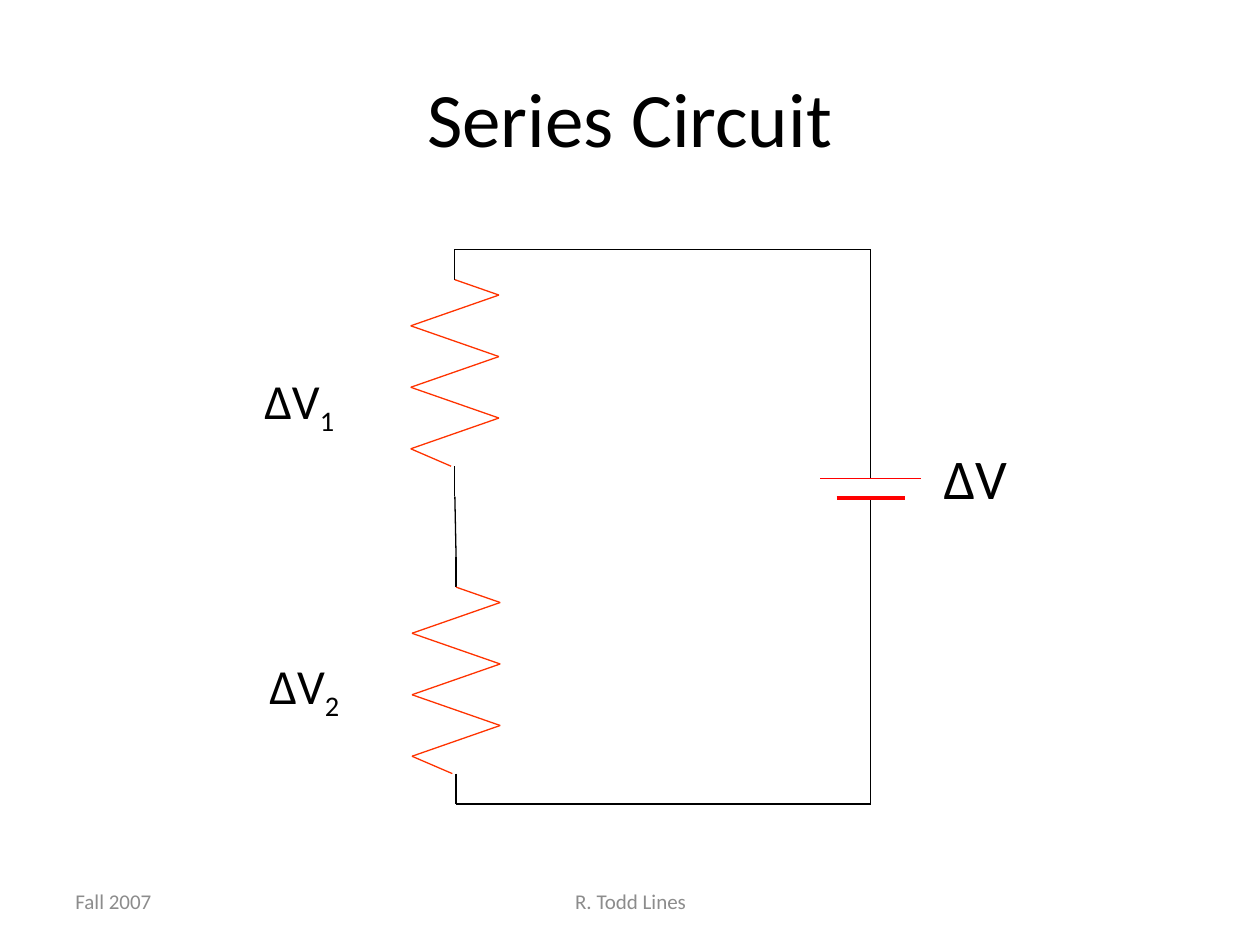
import pptx
import pptx.util
import pptx.dml.color
import pptx.enum.shapes
import pptx.enum.text
import pptx.oxml
from dataclasses import dataclass
from itertools import pairwise

Inches = pptx.util.Inches
Align = pptx.enum.text.PP_ALIGN
Anchor = pptx.enum.text.MSO_ANCHOR


@dataclass(frozen=True)
class Theme:
    font: str = "Calibri"
    ink: str = "000000"
    gray: str = "8C8C8C"
    zigzag: str = "FF3300"
    plate: str = "FF0000"
    title: int = 44
    source: int = 32
    label: int = 28
    foot: int = 12
    thin: float = 0.75
    thick: float = 2.25


def rgb(code):
    return pptx.dml.color.RGBColor.from_string(code)


def apply(item, values):
    for name, value in values.items():
        setattr(item, name, value)


class Sketch:
    def __init__(self, slide, theme):
        self.slide, self.theme = slide, theme

    def fill_text(self, shape, box, text, size, color, sub="",
                  align=Align.LEFT, anchor=Anchor.MIDDLE, wrap=True):
        sides = ("left", "top", "width", "height")
        apply(shape, dict(zip(sides, map(Inches, box))))
        frame = shape.text_frame
        apply(frame, {"word_wrap": wrap, "vertical_anchor": anchor})
        para = frame.paragraphs[0]
        para.alignment = align
        for part in filter(None, (text, sub)):
            run = para.add_run()
            run.text = part
            apply(run.font, {"name": self.theme.font, "size": pptx.util.Pt(size)})
            run.font.color.rgb = rgb(color)
        if sub:
            run.font._element.set("baseline", "-25000")

    def title(self, text, box):
        self.fill_text(self.slide.shapes.title, box, text, self.theme.title,
                       self.theme.ink, align=Align.CENTER)

    def label(self, text, box, size, color, **style):
        shape = self.slide.shapes.add_textbox(0, 0, 0, 0)
        self.fill_text(shape, box, text, size, color, **style)

    def wire(self, points, color=None, width=None):
        for start, end in pairwise(points):
            line = self.slide.shapes.add_connector(
                pptx.enum.shapes.MSO_CONNECTOR.STRAIGHT,
                *map(Inches, start + end))
            line.line.color.rgb = rgb(color or self.theme.ink)
            line.line.width = pptx.util.Pt(width or self.theme.thin)
            line._element.spPr.append(
                pptx.oxml.parse_xml(
                    '<a:effectLst xmlns:a="http://schemas.openxmlformats.org/'
                    'drawingml/2006/main"/>'))

    def resistor(self, x, top):
        lead, reach, step, length = 0.24, 0.35, 0.244, 1.96
        first, last = top + lead, top + length - lead
        bends = [(x + reach * (-1) ** i, first + step * (i + 0.5))
                 for i in range(6)]
        self.wire([(x, top), (x, first)])
        self.wire([(x, first), *bends, (x - 0.03, last)], self.theme.zigzag)
        self.wire([(x, last), (x, top + length)])

    def battery(self, x, top):
        theme = self.theme
        self.wire([(x, top), (x, top + 0.25)])
        self.wire([(x, top + 0.42), (x, top + 0.66)])
        for half, drop, width in ((0.4, 0.25, theme.thin),
                                  (0.27, 0.4, theme.thick)):
            self.wire([(x - half, top + drop), (x + half, top + drop)],
                      theme.plate, width)


theme = Theme()
deck = pptx.Presentation()
apply(deck, {"slide_width": Inches(10), "slide_height": Inches(7.5)})
sketch = Sketch(deck.slides.add_slide(deck.slide_layouts[5]), theme)

# Title and footer
sketch.title("Series Circuit", (0.5, 0.3, 9, 1.25))
sketch.label("Fall 2007", (0.5, 6.95, 2.33, 0.4), theme.foot, theme.gray)
sketch.label("R. Todd Lines", (3.42, 6.95, 3.17, 0.4), theme.foot, theme.gray,
             align=Align.CENTER)

# Circuit parts
upper, lower, right = 3.61, 3.62, 6.91
sketch.resistor(upper, 1.98)
sketch.resistor(lower, 4.42)
sketch.battery(right, 3.55)

# Wires between the parts
sketch.wire([(upper, 1.98), (right, 1.98), (right, 3.55)])
sketch.wire([(upper, 3.94), (lower, 4.42)])
sketch.wire([(right, 4.21), (right, 6.38), (lower, 6.38)])

# Voltage labels
for sub, box in (("1", (2, 2.89, 1.08, 0.57)), ("2", (2.04, 5.15, 1, 0.57))):
    sketch.label("ΔV", box, theme.label, theme.ink, sub=sub, anchor=Anchor.TOP)
sketch.label("ΔV", (7.39, 3.47, 0.77, 0.63), theme.source, theme.ink,
             anchor=Anchor.TOP, wrap=False)

deck.save("out.pptx")
